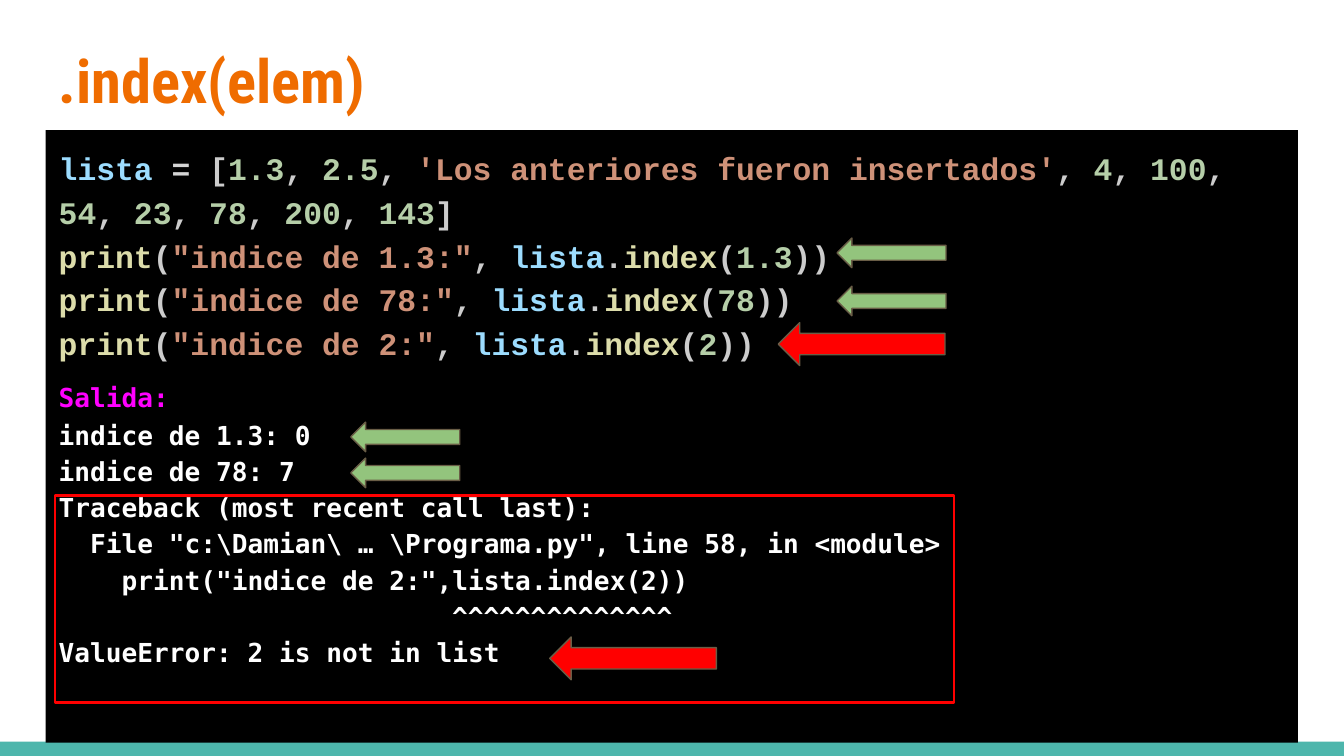
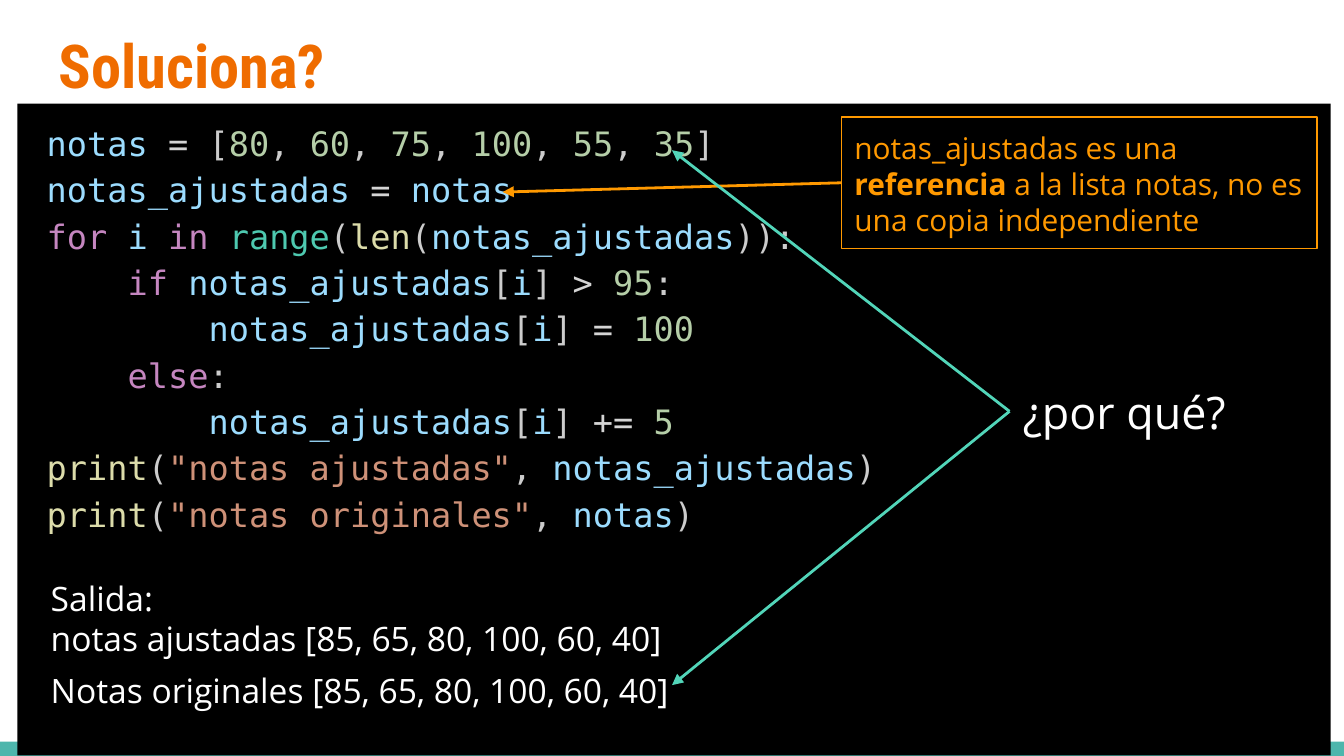
"""Build two Python lesson slides: list.index and list references."""
import dataclasses
import typing

import lxml.etree
import pptx
import pptx.dml.color
import pptx.enum.shapes
import pptx.enum.text
import pptx.oxml.ns
import pptx.util

Cm = pptx.util.Cm
Pt = pptx.util.Pt
SHAPES = pptx.enum.shapes.MSO_SHAPE

WHITE, BLACK, TEAL = "FFFFFF", "000000", "4DB6AC"
TITLE_ORANGE, NOTE_ORANGE, MINT = "EF6C00", "FF9900", "52D5B9"
RED, GREEN, BROWN, MAGENTA = "FF0000", "93C47D", "695D46", "FF00FF"
VARIABLE, OPERATOR, PUNCTUATION = "9CDCFE", "D4D4D4", "CCCCCC"
NUMBER, STRING, FUNCTION = "B5CEA8", "CE9178", "DCDCAA"
KEYWORD, BUILTIN = "C586C0", "4EC9B0"
COURIER, MONO = "Courier New", "DejaVu Sans Mono"
SANS, CONDENSED = "Open Sans", "Roboto Condensed"
MONO_ADVANCE = 0.602


class Box(typing.NamedTuple):
    """Left, top, width and height in centimetres."""

    left: float
    top: float
    width: float
    height: float


class Token(typing.NamedTuple):
    """A piece of text with its colour."""

    text: str
    color: str
    bold: bool = False


@dataclasses.dataclass(frozen=True)
class Style:
    """Paragraph settings in points, with spacing in lines."""

    font: str
    size: float
    bold: bool = False
    spacing: float = 1.0
    before: float = 0
    after: float = 0
    margin: float = 0


@dataclasses.dataclass(frozen=True)
class Line:
    """One paragraph: its tokens, style and indent in characters."""

    tokens: list[Token]
    style: Style
    indent: int = 0


@dataclasses.dataclass(frozen=True)
class Arrow:
    """A block arrow pointing left."""

    left: float
    top: float
    width: float
    height: float
    color: str


def rgb(color: str) -> pptx.dml.color.RGBColor:
    """Turn a hex string into a colour."""
    return pptx.dml.color.RGBColor.from_string(color)


def place(shape, box: Box) -> None:
    """Move and size a shape."""
    shape.left, shape.top, shape.width, shape.height = map(Cm, box)


def fill_shape(shape, color: str | None) -> None:
    """Fill a shape, or clear its fill."""
    if color is None:
        shape.fill.background()
    else:
        shape.fill.solid()
        shape.fill.fore_color.rgb = rgb(color)


def add_block(shapes, kind, box: Box, fill: str | None, line: str | None = None, width: float = 0.75):
    """Add a flat preset shape."""
    shape = shapes.add_shape(kind, *map(Cm, box))
    shape.shadow.inherit = False
    fill_shape(shape, fill)
    if line is None:
        shape.line.fill.background()
    else:
        shape.line.color.rgb = rgb(line)
        shape.line.width = Pt(width)
    return shape


def write_lines(shape, lines: list[Line], inset: float = 0.25,
                anchor=pptx.enum.text.MSO_ANCHOR.TOP) -> None:
    """Write formatted paragraphs into a shape."""
    frame = shape.text_frame
    frame.word_wrap = True
    frame.auto_size = pptx.enum.text.MSO_AUTO_SIZE.NONE
    frame.vertical_anchor = anchor
    frame.margin_left = frame.margin_right = Cm(0.25)
    frame.margin_top = frame.margin_bottom = Cm(inset)
    for index, line in enumerate(lines):
        paragraph = frame.add_paragraph() if index else frame.paragraphs[0]
        style = line.style
        paragraph.alignment = pptx.enum.text.PP_ALIGN.LEFT
        paragraph.line_spacing = style.spacing
        paragraph.space_before = Pt(style.before)
        paragraph.space_after = Pt(style.after)
        properties = paragraph._p.get_or_add_pPr()
        margin = style.margin + line.indent * style.size * MONO_ADVANCE
        properties.set("marL", str(int(Pt(margin))))
        properties.set("indent", "0")
        lxml.etree.SubElement(properties, pptx.oxml.ns.qn("a:buNone"))
        for token in line.tokens:
            run = paragraph.add_run()
            run.text = token.text
            run.font.name = style.font
            run.font.size = Pt(style.size)
            run.font.bold = style.bold or token.bold
            run.font.color.rgb = rgb(token.color)


def add_pointer(slide, source, end: tuple[float, float], color: str) -> None:
    """Draw an arrow from the left side of a shape to a point."""
    connector = slide.shapes.add_connector(
        pptx.enum.shapes.MSO_CONNECTOR.STRAIGHT, source.left, source.top, *map(Cm, end))
    connector.begin_connect(source, 1)
    connector.line.color.rgb = rgb(color)
    connector.line.width = Pt(1.5)
    outline = connector.line._get_or_add_ln()
    lxml.etree.SubElement(outline, pptx.oxml.ns.qn("a:tailEnd"), type="triangle")
    lxml.etree.SubElement(connector._element.spPr, pptx.oxml.ns.qn("a:effectLst"))


def add_code_slide(presentation, title: str, title_top: float, panel: Box, lines: list[Line]):
    """Add a slide with a title and a black code panel."""
    slide = presentation.slides.add_slide(presentation.slide_layouts[1])
    heading, body = slide.placeholders
    place(heading, Box(0.86, title_top, 23.67, 1.96))
    write_lines(heading, [Line([Token(title, TITLE_ORANGE)], Style(CONDENSED, 32.4, bold=True))],
                anchor=pptx.enum.text.MSO_ANCHOR.MIDDLE)
    place(body, panel)
    fill_shape(body, BLACK)
    write_lines(body, lines)
    return slide


def add_master_band(presentation, slide) -> None:
    """Put the teal bottom band on the slide master."""
    band = add_block(slide.shapes, SHAPES.RECTANGLE, Box(0, 14.02, 25.4, 0.27), TEAL)
    presentation.slide_master.shapes._spTree.insert(2, band._element)


def number_list(values: list[str]) -> list[Token]:
    """Colour the items of a list and the commas between them."""
    tokens = []
    for value in values:
        tokens += [Token(value, STRING if value.startswith("'") else NUMBER), Token(", ", PUNCTUATION)]
    return tokens[:-1]


def assign_list(name: str, values: list[str]) -> list[Token]:
    """Colour the assignment of a list to a name."""
    return [Token(f"{name} ", VARIABLE), Token("=", OPERATOR), Token(" [", PUNCTUATION),
            *number_list(values), Token("]", PUNCTUATION)]


def print_call(label: str, argument: list[Token], closing: str = ")") -> list[Token]:
    """Colour a print call with a label and an argument."""
    return [Token("print", FUNCTION), Token("(", PUNCTUATION), Token(f'"{label}"', STRING),
            Token(", ", PUNCTUATION), *argument, Token(closing, PUNCTUATION)]


def print_index(element: str) -> list[Token]:
    """Colour the printing of the index of an element."""
    call = [Token("lista", VARIABLE), Token(".", PUNCTUATION), Token("index", FUNCTION),
            Token("(", PUNCTUATION), Token(element, NUMBER)]
    return print_call(f"indice de {element}:", call, "))")


def adjusted_item(operator: str, number: str) -> list[Token]:
    """Colour an operation on one adjusted grade."""
    return [Token("notas_ajustadas", VARIABLE), Token("[", PUNCTUATION), Token("i", VARIABLE),
            Token("] ", PUNCTUATION), Token(f"{operator} ", OPERATOR), Token(number, NUMBER)]


def build_index_slide(presentation):
    """Show list.index, its output and its error."""
    code = Style(COURIER, 16.8, bold=True, spacing=1.16)
    heading = Style(MONO, 14, bold=True, spacing=0.95, before=12)
    console = Style(MONO, 14, bold=True, spacing=0.8, before=6)
    values = ["1.3", "2.5", "'Los anteriores fueron insertados'",
              "4", "100", "54", "23", "78", "200", "143"]
    output = [
        ("indice de 1.3: 0", 0),
        ("indice de 78: 7", 0),
        ("Traceback (most recent call last):", 0),
        (r'File "c:\Damian\ … \Programa.py", line 58, in <module>', 2),
        ('print("indice de 2:",lista.index(2))', 4),
        ("^" * 14, 25),
        ("ValueError: 2 is not in list", 0),
    ]
    lines = [Line(assign_list("lista", values), code)]
    lines += [Line(print_index(element), code) for element in ("1.3", "78", "2")]
    lines.append(Line([Token("Salida:", MAGENTA)], heading))
    lines += [Line([Token(text, WHITE)], console, indent) for text, indent in output]
    slide = add_code_slide(presentation, ".index(elem)", 0.51, Box(0.86, 2.46, 23.67, 11.58), lines)

    add_block(slide.shapes, SHAPES.RECTANGLE, Box(1.04, 9.37, 16.99, 3.91), None, RED, 1.5)
    arrows = [Arrow(left, top, 3.15, 0.81, RED) for left, top in ((14.71, 6.1), (10.39, 12.04))]
    arrows += [Arrow(left, top, 2.06, 0.56, GREEN)
               for left, top in ((15.82, 4.5), (15.82, 5.41), (6.63, 7.98), (6.63, 8.66))]
    for arrow in arrows:
        box = Box(arrow.left, arrow.top, arrow.width, arrow.height)
        add_block(slide.shapes, SHAPES.LEFT_ARROW, box, arrow.color, BROWN)
    return slide


def build_reference_slide(presentation):
    """Show that assigning a list does not copy it."""
    code = Style(MONO, 18, spacing=1.15, margin=8.6)
    adjusted, grades = Token("notas_ajustadas", VARIABLE), Token("notas", VARIABLE)
    loop = [Token("for ", KEYWORD), Token("i ", VARIABLE), Token("in ", KEYWORD),
            Token("range", BUILTIN), Token("(", PUNCTUATION), Token("len", FUNCTION),
            Token("(", PUNCTUATION), adjusted, Token(")):", PUNCTUATION)]
    condition = [Token("if ", KEYWORD), *adjusted_item(">", "95"), Token(":", PUNCTUATION)]
    lines = [
        Line(assign_list("notas", ["80", "60", "75", "100", "55", "35"]), code),
        Line([Token("notas_ajustadas ", VARIABLE), Token("= ", OPERATOR), grades], code),
        Line(loop, code),
        Line(condition, code, 4),
        Line(adjusted_item("=", "100"), code, 8),
        Line([Token("else", KEYWORD), Token(":", PUNCTUATION)], code, 4),
        Line(adjusted_item("+=", "5"), code, 8),
        Line(print_call("notas ajustadas", [adjusted]), code),
        Line(print_call("notas originales", [grades]), code),
    ]
    slide = add_code_slide(presentation, "Soluciona?", 0.23, Box(0.33, 1.96, 24.82, 12.32), lines)

    output = slide.shapes.add_textbox(*map(Cm, Box(0.71, 10.67, 13.84, 3.25)))
    result = Style(SANS, 18, after=6)
    write_lines(output, [
        Line([Token("Salida:", WHITE)], Style(SANS, 18)),
        Line([Token("notas ajustadas [85, 65, 80, 100, 60, 40]", WHITE)], result),
        Line([Token("Notas originales [85, 65, 80, 100, 60, 40]", WHITE)], result),
    ])

    note = add_block(slide.shapes, SHAPES.RECTANGLE, Box(15.9, 2.21, 8.99, 2.49), None, NOTE_ORANGE)
    write_lines(note, [Line([
        Token("notas_ajustadas es una ", NOTE_ORANGE),
        Token("referencia", NOTE_ORANGE, True),
        Token(" a la lista notas, no es una copia independiente", NOTE_ORANGE),
    ], Style(SANS, 16))])
    add_pointer(slide, note, (9.5, 3.63), NOTE_ORANGE)

    question = slide.shapes.add_textbox(*map(Cm, Box(19.08, 7.14, 4.75, 1.27)))
    write_lines(question, [Line([Token("¿por qué?", WHITE)], Style(SANS, 24))], inset=0.13)
    for end in ((12.7, 2.84), (12.7, 12.95)):
        add_pointer(slide, question, end, MINT)
    return slide


def main() -> None:
    """Build and save the presentation."""
    presentation = pptx.Presentation()
    presentation.slide_width, presentation.slide_height = Cm(25.4), Cm(14.29)
    slide = build_index_slide(presentation)
    add_master_band(presentation, slide)
    build_reference_slide(presentation)
    presentation.save("out.pptx")


if __name__ == "__main__":
    main()
